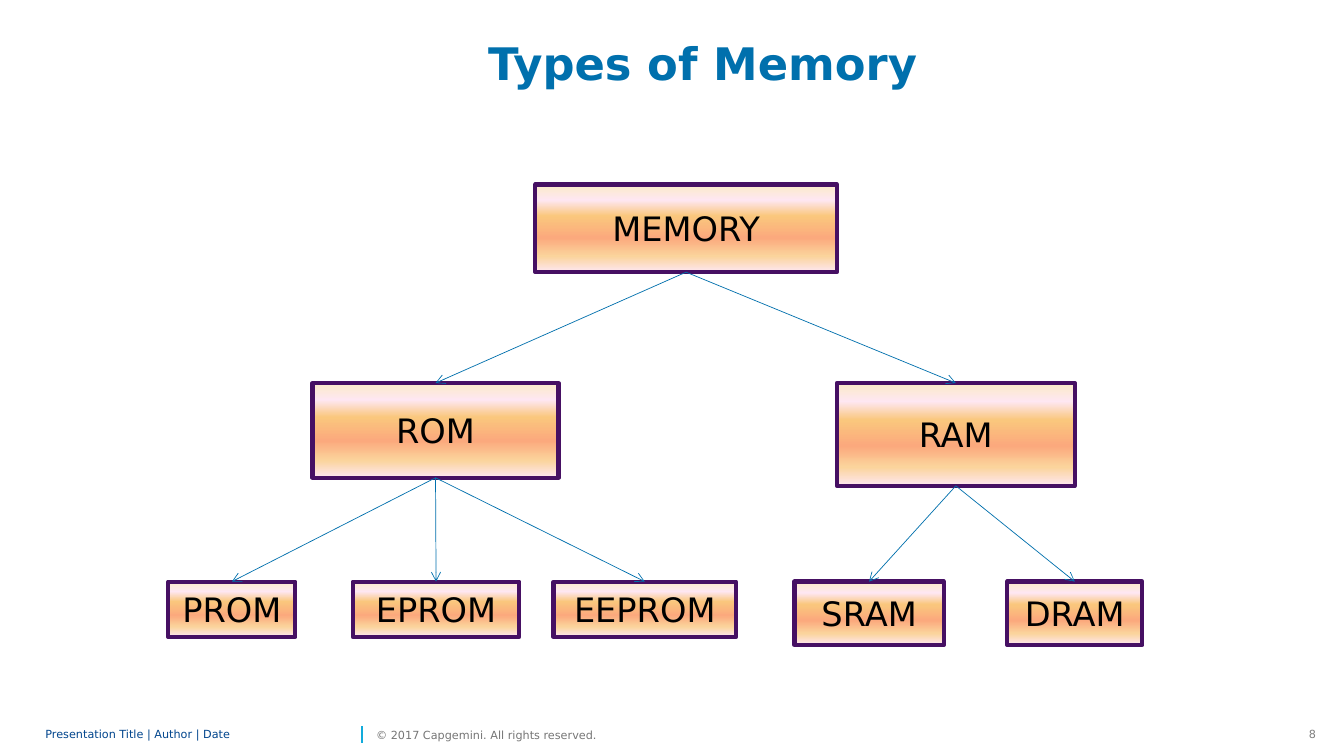
"""Build the "Types of Memory" tree slide."""
from lxml.etree import SubElement
from pptx import Presentation
from pptx.dml.color import RGBColor
from pptx.enum.shapes import MSO_CONNECTOR as CONN, MSO_SHAPE as SHAPE
from pptx.enum.text import MSO_ANCHOR as ANCHOR, PP_ALIGN as ALIGN
from pptx.oxml.ns import qn
from pptx.util import Inches, Pt


def style(tf, size, color, align, anchor, spacing=None, bold=False):
    tf.vertical_anchor = anchor
    p = tf.paragraphs[0]
    p.alignment = align
    p.line_spacing = spacing
    font = p.runs[0].font
    font.name, font.size, font.bold = "DejaVu Sans", Pt(size), bold
    font.color.rgb = RGBColor.from_string(color)


def add_line(x1, y1, x2, y2, color, width):
    c = slide.shapes.add_connector(
        CONN.STRAIGHT, Inches(x1), Inches(y1), Inches(x2), Inches(y2))
    c.line.color.rgb = RGBColor.from_string(color)
    c.line.width = Pt(width)
    SubElement(c._element.spPr, qn("a:effectLst"))
    return c


prs = Presentation()
prs.slide_width, prs.slide_height = Inches(13.33), Inches(7.5)
slide = prs.slides.add_slide(prs.slide_layouts[5])

title = slide.shapes.title
title.left, title.top = Inches(2.45), Inches(0.41)
title.width, title.height = Inches(9.04), Inches(0.94)
tf = title.text_frame
tf.text = "Types of Memory"
tf.margin_left = tf.margin_right = tf.margin_top = tf.margin_bottom = 0
style(tf, 32, "0070AD", ALIGN.CENTER, ANCHOR.TOP, 0.9, True)

footers = [
    ("Presentation Title | Author | Date", 0.45, 3.09, "00458D", ALIGN.LEFT, ANCHOR.MIDDLE, 0.85, 0, True),
    ("© 2017 Capgemini. All rights reserved.", 3.73, 2.43, "767676", ALIGN.LEFT, ANCHOR.MIDDLE, None, 0, False),
    ("8", 12.76, 0.39, "808080", ALIGN.RIGHT, ANCHOR.TOP, None, 0.1, False),
]
for text, x, w, color, align, anchor, spacing, inset, wrap in footers:
    tf = slide.shapes.add_textbox(Inches(x), Inches(7.17), Inches(w), Inches(0.24)).text_frame
    tf.text = text
    tf.word_wrap = wrap
    tf.margin_left = tf.margin_right = Inches(inset)
    tf.margin_top = tf.margin_bottom = Inches(inset / 2)
    style(tf, 8, color, align, anchor, spacing)
add_line(3.59, 7.37, 3.59, 7.2, "12ABDB", 1)

stops = [(0, "FBEAC7"), (18, "FEE7F2"), (36, "FAC77D"),
         (61, "FBA97D"), (82, "FBD49C"), (100, "FEE7F2")]
nodes = [
    ("MEMORY", None, 5.31, 1.83, 2.99, 0.87),
    ("ROM", "MEMORY", 3.1, 3.8, 2.44, 0.94),
    ("RAM", "MEMORY", 8.3, 3.8, 2.36, 1.02),
    ("PROM", "ROM", 1.67, 5.77, 1.26, 0.55),
    ("EPROM", "ROM", 3.5, 5.77, 1.65, 0.55),
    ("EEPROM", "ROM", 5.49, 5.77, 1.81, 0.55),
    ("SRAM", "RAM", 7.88, 5.77, 1.48, 0.63),
    ("DRAM", "RAM", 9.99, 5.77, 1.34, 0.63),
]
boxes = {}
for name, parent, x, y, w, h in nodes:
    s = slide.shapes.add_shape(SHAPE.RECTANGLE, Inches(x), Inches(y), Inches(w), Inches(h))
    s.shadow.inherit = False
    s.fill.gradient()
    s.fill.gradient_angle = 270
    gs_list = s._element.spPr.find(qn("a:gradFill")).find(qn("a:gsLst"))
    for gs in list(gs_list):
        gs_list.remove(gs)
    for pos, color in stops:
        gs = SubElement(gs_list, qn("a:gs"), pos=str(pos * 1000))
        SubElement(gs, qn("a:srgbClr"), val=color)
    s.line.color.rgb = RGBColor.from_string("461063")
    s.line.width = Pt(3)
    s.text_frame.text = name
    style(s.text_frame, 24, "000000", ALIGN.CENTER, ANCHOR.MIDDLE)
    boxes[name] = s

for name, parent, *_ in nodes[1:]:
    c = add_line(0, 0, 1, 1, "0070AD", 0.5)
    c.begin_connect(boxes[parent], 2)
    c.end_connect(boxes[name], 0)
    SubElement(c.line._get_or_add_ln(), qn("a:tailEnd"), type="arrow")

prs.save("out.pptx")
